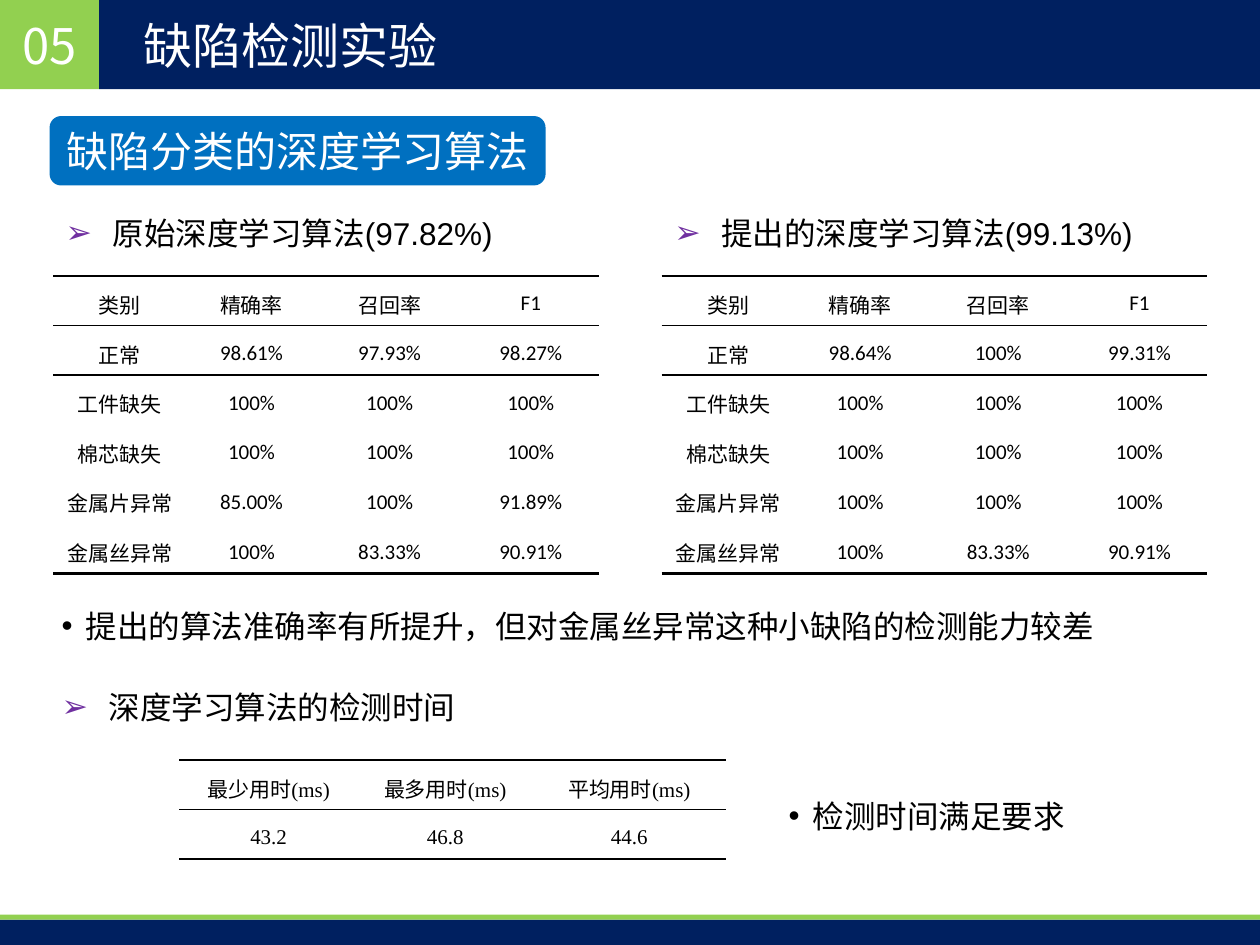
import pptx
import pptx.dml.color
import pptx.enum.shapes
import pptx.enum.text
import pptx.oxml
import pptx.oxml.ns
import pptx.util
from dataclasses import dataclass

Cm, Pt = pptx.util.Cm, pptx.util.Pt
ALIGN = pptx.enum.text.PP_ALIGN
MIDDLE = pptx.enum.text.MSO_ANCHOR.MIDDLE
SHAPES = pptx.enum.shapes.MSO_SHAPE


@dataclass(frozen=True)
class Theme:
    navy: str = "002060"
    green: str = "92D050"
    blue: str = "0070C0"
    purple: str = "7030A0"
    black: str = "000000"
    white: str = "FFFFFF"
    title_size: int = 28
    badge_size: int = 24
    body_size: int = 18
    table_size: int = 12
    chinese: str = "Noto Sans CJK SC"
    sans: str = "Arial"
    serif: str = "Times New Roman"
    cells: str = "Calibri"


THEME = Theme()

SECTION, TITLE = "05", "缺陷检测实验"
BADGE = "缺陷分类的深度学习算法"
TIME_NOTE = "检测时间满足要求"

# placeholder index, text, left, top, width, height, font, bullet
ARROW, DOT = "➢", "•"
LISTS = [
    (1, "原始深度学习算法(97.82%)", 1.07, 4.19, 11, 1.02, THEME.sans, ARROW),
    (3, "提出的深度学习算法(99.13%)", 13.34, 4.19, 11, 1.02, THEME.sans, ARROW),
    (2, "提出的算法准确率有所提升，但对金属丝异常这种小缺陷的检测能力较差",
     0.99, 11.91, 23.01, 1.12, THEME.serif, DOT),
    (4, "深度学习算法的检测时间", 0.99, 13.74, 10.24, 1.02, THEME.sans, ARROW),
]

HEADER = ["类别", "精确率", "召回率", "F1"]
ORIGINAL = [
    HEADER,
    ["正常", "98.61%", "97.93%", "98.27%"],
    ["工件缺失", "100%", "100%", "100%"],
    ["棉芯缺失", "100%", "100%", "100%"],
    ["金属片异常", "85.00%", "100%", "91.89%"],
    ["金属丝异常", "100%", "83.33%", "90.91%"],
]
PROPOSED = [
    HEADER,
    ["正常", "98.64%", "100%", "99.31%"],
    ["工件缺失", "100%", "100%", "100%"],
    ["棉芯缺失", "100%", "100%", "100%"],
    ["金属片异常", "100%", "100%", "100%"],
    ["金属丝异常", "100%", "83.33%", "90.91%"],
]
TIMES = [
    ["最少用时(ms)", "最多用时(ms)", "平均用时(ms)"],
    ["43.2", "46.8", "44.6"],
]
RESULT_COLUMNS = [2.69, 2.62, 2.95, 2.74]
TIME_COLUMNS = [3.61, 3.51, 3.91]
ROW_HEIGHT = 1
# line widths by row boundary, counted from the top edge
RESULT_RULES = {0: 1.5, 1: 1, 2: 1.5, 6: 1.5}
TIME_RULES = {0: 1.5, 1: 1, 2: 1.5}

BANDS = [
    (0, 0, 2, 1.8, THEME.green),
    (2, 0, 23.4, 1.8, THEME.navy),
    (0, 18.54, 25.4, 0.51, THEME.navy),
    (0, 18.44, 25.4, 0.1, THEME.green),
]


def rgb(value):
    return pptx.dml.color.RGBColor.from_string(value)


def add_xml(parent, xml):
    namespace = pptx.oxml.ns.nsdecls("a")
    parent.append(pptx.oxml.parse_xml(xml.replace(">", f" {namespace}>", 1)
                                      if "/>" not in xml.split(">")[0] + ">"
                                      else xml.replace("/>", f" {namespace}/>", 1)))


def write(text_frame, text, font, size, color, align=ALIGN.LEFT, bullet=None, spacing=1.0):
    text_frame.text = text
    paragraph = text_frame.paragraphs[0]
    paragraph.alignment = align
    paragraph.line_spacing = spacing
    paragraph.space_before = Pt(0)
    if bullet:
        indent = Cm(0.95 if bullet == ARROW else 0.48)
        bullet_color = THEME.purple if bullet == ARROW else color
        properties = paragraph._p.get_or_add_pPr()
        properties.set("marL", str(indent))
        properties.set("indent", str(-indent))
        add_xml(properties, f'<a:buClr><a:srgbClr val="{bullet_color}"/></a:buClr>')
        add_xml(properties, '<a:buFont typeface="Arial"/>')
        add_xml(properties, f'<a:buChar char="{bullet}"/>')
    else:
        paragraph._p.get_or_add_pPr().set("marL", "0")
        paragraph._p.get_or_add_pPr().set("indent", "0")
        add_xml(paragraph._p.get_or_add_pPr(), "<a:buNone/>")
    for run in paragraph.runs:
        run.font.name = font
        run.font.size = Pt(size)
        run.font.bold = False
        run.font.color.rgb = rgb(color)
        add_xml(run._r.get_or_add_rPr(), f'<a:ea typeface="{THEME.chinese}"/>')


def place(shape, left, top, width, height):
    """Position a shape and bring it to the front."""
    shape.left, shape.top = Cm(left), Cm(top)
    shape.width, shape.height = Cm(width), Cm(height)
    shape._element.getparent().append(shape._element)
    shape.text_frame.word_wrap = True
    shape.text_frame.auto_size = pptx.enum.text.MSO_AUTO_SIZE.NONE


def add_block(slide, kind, left, top, width, height, color):
    shape = slide.shapes.add_shape(kind, Cm(left), Cm(top), Cm(width), Cm(height))
    shape.shadow.inherit = False
    shape.fill.solid()
    shape.fill.fore_color.rgb = rgb(color)
    shape.line.fill.background()
    return shape


def add_list(shape, text, left, top, width, height, font, bullet):
    place(shape, left, top, width, height)
    shape.text_frame.vertical_anchor = pptx.enum.text.MSO_ANCHOR.TOP
    is_note = bullet == DOT
    write(shape.text_frame, text, font, THEME.body_size, THEME.black,
          ALIGN.JUSTIFY if is_note else ALIGN.LEFT, bullet, 1.25 if is_note else 1.0)


def set_border(cell, side, width):
    properties = cell._tc.get_or_add_tcPr()
    if width:
        add_xml(properties, f'<a:ln{side} w="{Pt(width)}"><a:solidFill>'
                            f'<a:srgbClr val="{THEME.black}"/></a:solidFill></a:ln{side}>')
    else:
        add_xml(properties, f'<a:ln{side} w="0"><a:noFill/></a:ln{side}>')


def add_ruled_table(slide, rows, left, top, columns, rules, font):
    table = slide.shapes.add_table(len(rows), len(columns), Cm(left), Cm(top),
                                   Cm(sum(columns)), Cm(ROW_HEIGHT * len(rows))).table
    table.first_row = table.horz_banding = False
    for column, width in zip(table.columns, columns):
        column.width = Cm(width)
    for row_index, row in enumerate(rows):
        table.rows[row_index].height = Cm(ROW_HEIGHT)
        for column_index, text in enumerate(row):
            cell = table.cell(row_index, column_index)
            cell.margin_left = cell.margin_right = Cm(0.18)
            cell.margin_top = cell.margin_bottom = 0
            cell.vertical_anchor = MIDDLE
            write(cell.text_frame, text, font, THEME.table_size, THEME.black,
                  ALIGN.CENTER, spacing=1.25)
            for side, width in (("L", None), ("R", None), ("T", rules.get(row_index)),
                                ("B", rules.get(row_index + 1))):
                set_border(cell, side, width)
            cell.fill.background()


def main():
    presentation = pptx.Presentation()
    presentation.slide_width, presentation.slide_height = Cm(25.4), Cm(19.05)
    comparison_layout = presentation.slide_layouts[4]
    slide = presentation.slides.add_slide(comparison_layout)
    placeholders = {shape.placeholder_format.idx: shape for shape in slide.placeholders}

    for band in BANDS:
        add_block(slide, SHAPES.RECTANGLE, *band)

    title = slide.shapes.title
    place(title, 2.64, 0, 20.4, 1.8)
    number = slide.shapes.add_textbox(0, 0, 0, 0)
    place(number, 0, 0, 2, 1.8)
    for shape, text, align in ((title, TITLE, ALIGN.LEFT), (number, SECTION, ALIGN.CENTER)):
        shape.text_frame.vertical_anchor = MIDDLE
        write(shape.text_frame, text, THEME.chinese, THEME.title_size, THEME.white, align)

    badge = add_block(slide, SHAPES.ROUNDED_RECTANGLE, 1, 2.34, 10, 1.4, THEME.blue)
    badge.text_frame.vertical_anchor = MIDDLE
    badge.text_frame.word_wrap = False
    write(badge.text_frame, BADGE, THEME.serif, THEME.badge_size, THEME.white, ALIGN.CENTER)

    for index, *details in LISTS:
        add_list(placeholders[index], *details)
    time_note = slide.shapes.add_textbox(0, 0, 0, 0)
    add_list(time_note, TIME_NOTE, 15.65, 15.75, 6.35, 1.14, THEME.serif, DOT)

    for rows, left in ((ORIGINAL, 1.07), (PROPOSED, 13.34)):
        add_ruled_table(slide, rows, left, 5.56, RESULT_COLUMNS, RESULT_RULES, THEME.cells)
    add_ruled_table(slide, TIMES, 3.61, 15.32, TIME_COLUMNS, TIME_RULES, THEME.serif)

    presentation.save("out.pptx")


if __name__ == "__main__":
    main()
